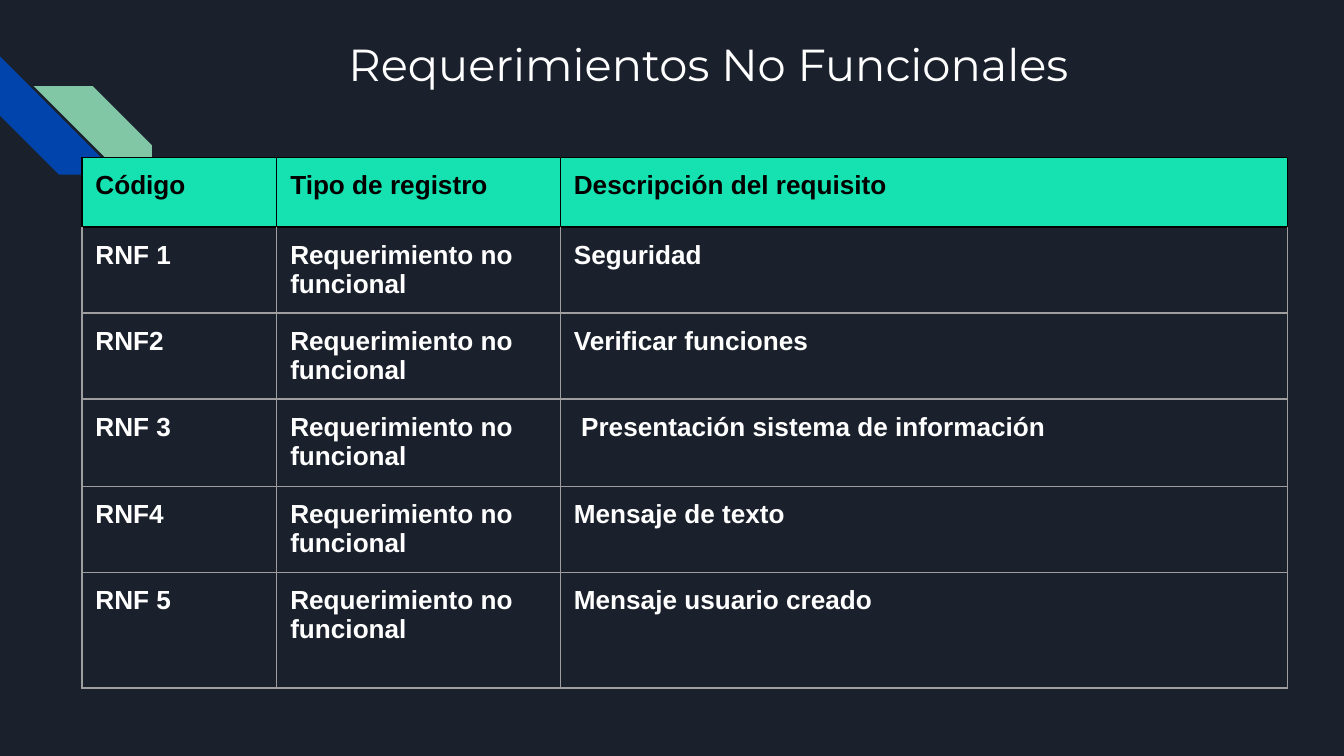
"""Build the slide that lists the non-functional requirements in a table."""
from lxml import etree
from pptx import Presentation
from pptx.dml.color import RGBColor
from pptx.enum.shapes import MSO_SHAPE
from pptx.enum.text import MSO_ANCHOR, PP_ALIGN
from pptx.oxml.ns import qn
from pptx.util import Inches, Pt

STRIPE = MSO_SHAPE.DIAGONAL_STRIPE
TOP = MSO_ANCHOR.TOP
LEFT, CENTER = PP_ALIGN.LEFT, PP_ALIGN.CENTER

COLORS = {
    "background": "1B212C",
    "blue": "0145AC",
    "green": "82C7A5",
    "header": "16E1B0",
    "grid": "9E9E9E",
    "black": "000000",
    "white": "FFFFFF",
}
HEADINGS = ["Código", "Tipo de registro", "Descripción del requisito"]
REQUIREMENTS = [
    ("RNF 1", "Seguridad"),
    ("RNF2", "Verificar funciones"),
    ("RNF 3", " Presentación sistema de información"),
    ("RNF4", "Mensaje de texto"),
    ("RNF 5", "Mensaje usuario creado"),
]
COLUMN_WIDTHS = [1.45, 2.11, 5.41]
ROW_HEIGHTS = [0.52, 0.64, 0.64, 0.65, 0.64, 0.86]


def write_text(text_frame, text, size=14, font="Arial", color="white", bold=False, align=LEFT):
    text_frame.word_wrap = True
    paragraph = text_frame.paragraphs[0]
    paragraph.alignment = align
    run = paragraph.add_run()
    run.text = text
    run.font.size = Pt(size)
    run.font.name = font
    run.font.bold = bold
    run.font.color.rgb = RGBColor.from_string(COLORS[color])


def add_border(cell, side, color):
    properties = cell._tc.get_or_add_tcPr()
    line = etree.SubElement(properties, qn(f"a:ln{side}"), w=str(Pt(0.75)))
    fill = etree.SubElement(line, qn("a:solidFill"))
    etree.SubElement(fill, qn("a:srgbClr"), val=COLORS[color])


presentation = Presentation()
presentation.slide_width = Inches(10)
presentation.slide_height = Inches(10 * 9 / 16)
slide = presentation.slides.add_slide(presentation.slide_layouts[5])
slide.background.fill.solid()
slide.background.fill.fore_color.rgb = RGBColor.from_string(COLORS["background"])

for left, top, rotation, color in [(0, 0.42, 270, "blue"), (0.25, 0.64, 90, "green")]:
    stripe = slide.shapes.add_shape(STRIPE, Inches(left), Inches(top), Inches(0.88), Inches(0.88))
    stripe.rotation = rotation
    stripe.shadow.inherit = False
    stripe.fill.solid()
    stripe.fill.fore_color.rgb = RGBColor.from_string(COLORS[color])
    stripe.line.fill.background()

title = slide.shapes.title
title.left, title.top = Inches(1.42), Inches(0.17)
title.width, title.height = Inches(7.7), Inches(1)
title_frame = title.text_frame
title_frame.vertical_anchor = TOP
title_frame.margin_left = title_frame.margin_right = Inches(0.1)
title_frame.margin_top = title_frame.margin_bottom = Inches(0.1)
write_text(title_frame, "Requerimientos No Funcionales", size=24, font="Montserrat", align=CENTER)

rows = [HEADINGS] + [
    [code, "Requerimiento no funcional", description] for code, description in REQUIREMENTS
]
table = slide.shapes.add_table(
    len(rows), len(HEADINGS), Inches(0.61), Inches(1.17),
    Inches(sum(COLUMN_WIDTHS)), Inches(sum(ROW_HEIGHTS)),
).table
table.first_row = table.horz_banding = False
for column, width in zip(table.columns, COLUMN_WIDTHS):
    column.width = Inches(width)

for row_index, (texts, height) in enumerate(zip(rows, ROW_HEIGHTS)):
    table.rows[row_index].height = Inches(height)
    is_header = row_index == 0
    for column_index, text in enumerate(texts):
        cell = table.cell(row_index, column_index)
        cell.margin_left = cell.margin_right = Inches(0.1)
        cell.margin_top = cell.margin_bottom = Inches(0.1)
        cell.vertical_anchor = TOP
        for side in "LRTB":
            below_header = row_index == 1 and side == "T"
            add_border(cell, side, "black" if is_header or below_header else "grid")
        if is_header:
            cell.fill.solid()
            cell.fill.fore_color.rgb = RGBColor.from_string(COLORS["header"])
        else:
            cell.fill.background()
        write_text(cell.text_frame, text, color="black" if is_header else "white", bold=True)

presentation.save("out.pptx")
